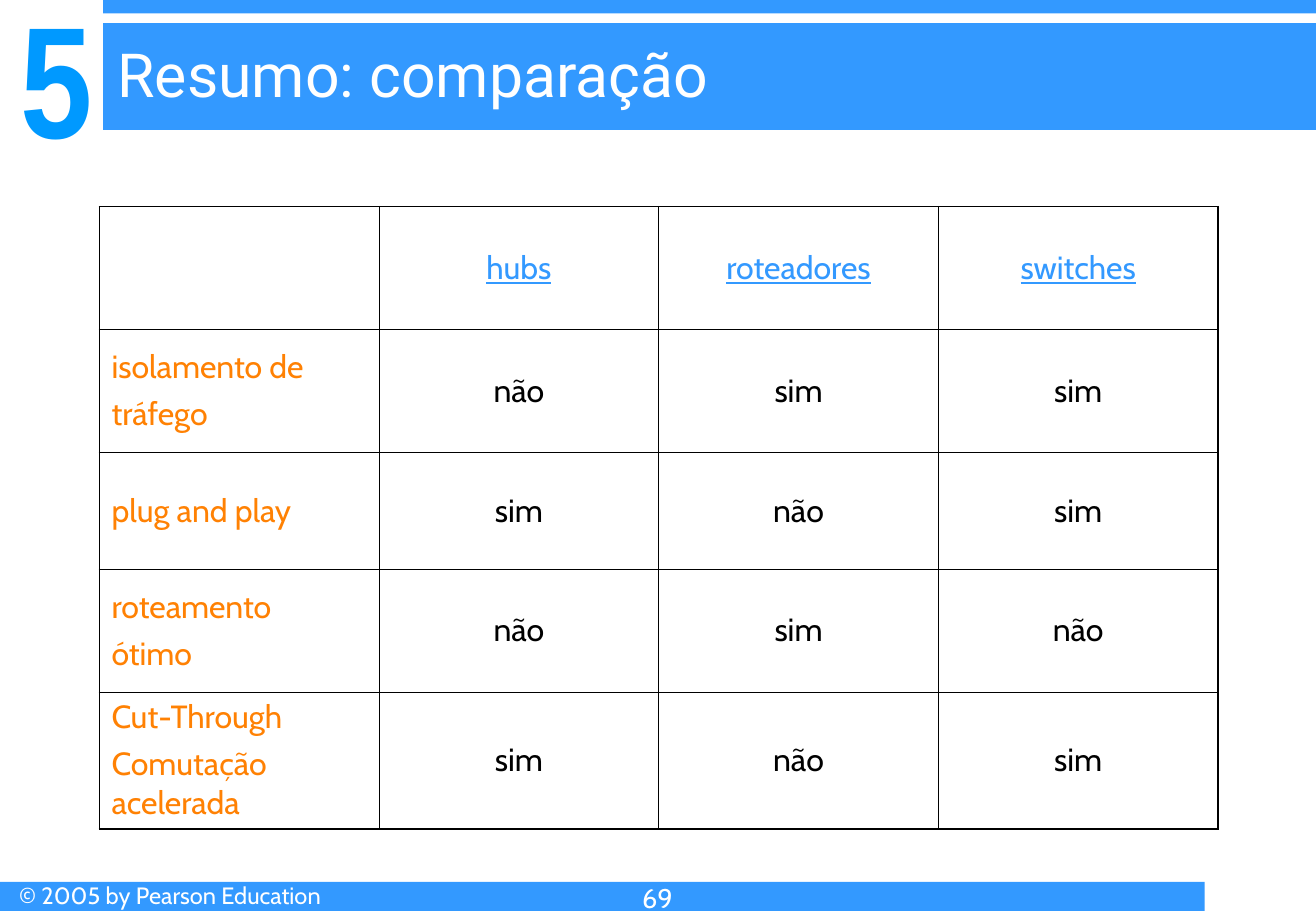
from lxml import etree
from pptx import Presentation
from pptx.dml.color import RGBColor
from pptx.enum.shapes import MSO_SHAPE
from pptx.enum.text import MSO_ANCHOR, MSO_AUTO_SIZE, PP_ALIGN
from pptx.oxml.ns import qn
from pptx.util import Cm, Pt

RECT = MSO_SHAPE.RECTANGLE
LEFT, CENTER = PP_ALIGN.LEFT, PP_ALIGN.CENTER
TOP, MIDDLE, BOTTOM = MSO_ANCHOR.TOP, MSO_ANCHOR.MIDDLE, MSO_ANCHOR.BOTTOM
NO_FIT = MSO_AUTO_SIZE.NONE

BLUE, BRIGHT, ORANGE = "3399FF", "0099FF", "FF8103"
WHITE, BLACK = "FFFFFF", "000000"
THICK, THIN = 1.08, 0.45
INSET = (0.25, 0.13)

COLUMN_WIDTH = 5.85
ROW_HEIGHTS = (2.57, 2.57, 2.44, 2.57, 2.84)
COMPARISON = (
    ("", "hubs", "roteadores", "switches"),
    ("isolamento de\ntráfego", "não", "sim", "sim"),
    ("plug and play", "sim", "não", "sim"),
    ("roteamento\nótimo", "não", "sim", "não"),
    ("Cut-Through\nComutação acelerada", "sim", "não", "sim"),
)


def rgb(value):
    """Turn a hex string into a colour."""
    return RGBColor.from_string(value)


class Deck:
    """Hold the presentation, its current slide and the text style."""

    def __init__(self, width, height):
        """Open a presentation of the given size with a title-only slide."""
        self.prs = Presentation()
        self.prs.slide_width, self.prs.slide_height = Cm(width), Cm(height)
        self.s = self.prs.slides.add_slide(self.prs.slide_layouts[5])
        self.style = {"name": "Cabin", "size": 19, "bold": False, "underline": False}

    def fill_text(self, tf, text, color, align=LEFT, gap=0, **changes):
        """Set one paragraph for each line of the text."""
        style = {**self.style, **changes}
        style["size"] = Pt(style["size"])
        for i, line in enumerate(text.split("\n")):
            p = tf.paragraphs[0] if i == 0 else tf.add_paragraph()
            p.alignment = align
            p.space_before = Pt(gap if i else 0)
            if line:
                p.add_run().text = line
            for font in [p.font] + [r.font for r in p.runs]:
                for key, value in style.items():
                    setattr(font, key, value)
                font.color.rgb = rgb(color)

    def frame(self, tf, anchor, inset):
        """Set the wrapping, anchor and insets of a text frame."""
        side, edge = Cm(inset[0]), Cm(inset[1])
        values = {"word_wrap": True, "auto_size": NO_FIT, "vertical_anchor": anchor,
                  "margin_left": side, "margin_right": side,
                  "margin_top": edge, "margin_bottom": edge}
        for key, value in values.items():
            setattr(tf, key, value)

    def bar(self, box, color):
        """Draw a plain filled bar."""
        sp = self.s.shapes.add_shape(RECT, *map(Cm, box))
        sp.shadow.inherit = False
        sp.fill.solid()
        sp.fill.fore_color.rgb = rgb(color)
        sp.line.fill.background()

    def text(self, box, text, color, anchor=TOP, inset=INSET, **style):
        """Add a text box."""
        tf = self.s.shapes.add_textbox(*map(Cm, box)).text_frame
        self.frame(tf, anchor, inset)
        self.fill_text(tf, text, color, **style)

    def title(self, box, text, color, **style):
        """Place the title placeholder in front of the bars."""
        sp = self.s.shapes.title
        sp.left, sp.top, sp.width, sp.height = map(Cm, box)
        self.s.shapes.element.append(sp.element)
        self.frame(sp.text_frame, TOP, INSET)
        self.fill_text(sp.text_frame, text, color, **style)

    def border(self, cell, widths):
        """Draw the left, right, top and bottom borders of a cell."""
        tc_pr = cell._tc.get_or_add_tcPr()
        for side, width in zip("LRTB", widths):
            ln = etree.SubElement(tc_pr, qn(f"a:ln{side}"), w=str(Pt(width)))
            fill = etree.SubElement(ln, qn("a:solidFill"))
            etree.SubElement(fill, qn("a:srgbClr"), val=BLACK)

    def table(self, left, top, rows, column_width, heights):
        """Add a ruled table with a heading row and a label column."""
        last_row, last_col = len(rows) - 1, len(rows[0]) - 1
        size = (column_width * len(rows[0]), sum(heights))
        table = self.s.shapes.add_table(len(rows), len(rows[0]),
                                        *map(Cm, (left, top, *size))).table
        table.first_row = table.horz_banding = False
        for column in table.columns:
            column.width = Cm(column_width)
        for i, row in enumerate(rows):
            table.rows[i].height = Cm(heights[i])
            for j, text in enumerate(row):
                cell = table.cell(i, j)
                outer = (j == 0, j == last_col, i == 0, i == last_row)
                self.border(cell, [THICK if edge else THIN for edge in outer])
                cell.fill.background()
                cell.vertical_anchor = MIDDLE
                color = BLUE if i == 0 else BLACK if j else ORANGE
                self.fill_text(cell.text_frame, text, color, CENTER if j else LEFT,
                               gap=4.8, underline=i == 0)


def main():
    """Build the comparison slide."""
    deck = Deck(27.53, 19.05)
    deck.bar((2.16, 0, 25.37, 2.72), BLUE)
    deck.bar((2.16, 0.28, 25.37, 0.2), WHITE)
    deck.text((0.13, -0.43, 2.11, 3.99), "5", BRIGHT, BOTTOM, (0, 0),
              align=CENTER, name="Arial Narrow", size=94, bold=True)
    deck.bar((0, 18.44, 25.2, 0.61), BLUE)
    deck.text((0.15, 18.29, 8.46, 0.76), "© 2005 by Pearson Education", WHITE, size=14)
    deck.table(2.08, 4.32, COMPARISON, COLUMN_WIDTH, ROW_HEIGHTS)
    deck.title((2.21, 0.64, 23.39, 2.06), "Resumo: comparação", WHITE,
               name="Roboto", size=36)
    deck.text((0, 18.31, 27.51, 0.74), "69", WHITE, align=CENTER, size=16)
    deck.prs.save("out.pptx")


if __name__ == "__main__":
    main()
